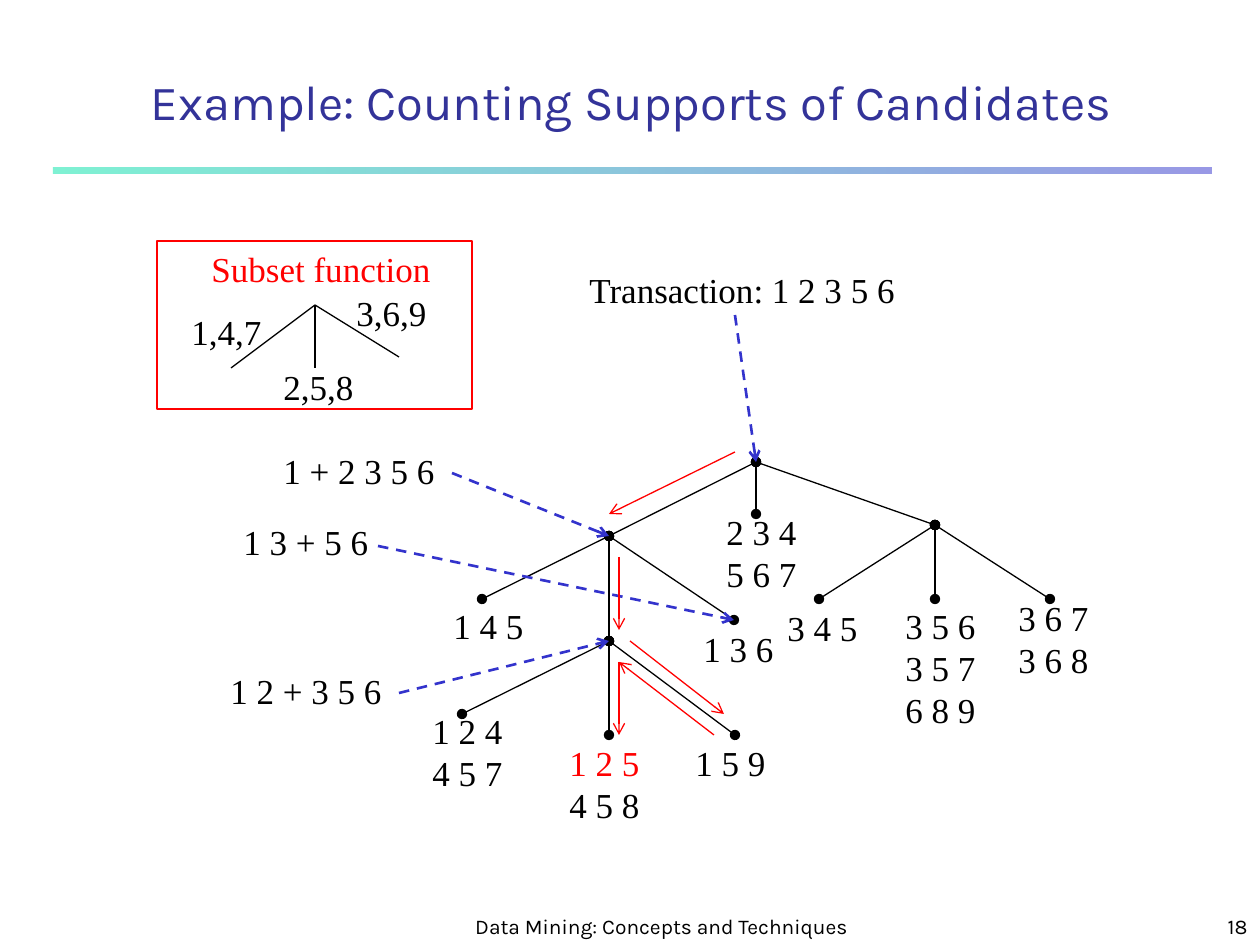
from lxml.etree import SubElement
from pptx import Presentation
from pptx.dml.color import RGBColor
from pptx.enum.dml import MSO_LINE
from pptx.enum.shapes import MSO_CONNECTOR, MSO_SHAPE
from pptx.enum.text import MSO_ANCHOR, MSO_AUTO_SIZE, PP_ALIGN
from pptx.oxml.ns import qn
from pptx.util import Emu, Pt

BLACK = RGBColor(0x00, 0x00, 0x00)
RED = RGBColor(0xFF, 0x00, 0x00)
BLUE = RGBColor(0x33, 0x33, 0xCC)
NAVY = RGBColor(0x33, 0x33, 0x99)
MINT = RGBColor(0x00, 0xE4, 0xA8)
SANS, SERIF = "Karla", "Times New Roman"

# Content: text, left, top, width, height in px
TITLE = ("Example: Counting Supports of Candidates", 94, 53, 1074, 84)
FOOTER = ("Data Mining: Concepts and Techniques", 462, 892, 399, 53)
PAGE = ("18", 998, 892, 262, 53)
LABEL_WIDTH = 97

# Subset function box: branch ends and labels (text, left, top)
SUBSET_BOX = (157, 241, 315, 168)
SUBSET_TOP = (315, 305)
SUBSET_ENDS = [(231, 368), (315, 368), (399, 357)]
SUBSET_LABELS = [
    ("1,4,7", 179, 304),
    ("2,5,8", 271, 359),
    ("3,6,9", 344, 285),
]
SUBSET_HEADING = ("Subset function", 199, 241, 247)

# Hash tree: node positions, children, and leaf labels (lines, left, top)
NODES = {
    "root": (756, 462),
    "left": (609, 536), "234": (756, 514), "right": (935, 525),
    "145": (482, 599), "middle": (609, 641), "136": (734, 620),
    "124": (462, 714), "125": (609, 735), "159": (735, 735),
    "345": (819, 599), "356": (935, 599), "367": (1050, 599),
}
CHILDREN = {
    "root": ["left", "234", "right"],
    "left": ["145", "middle", "136"],
    "middle": ["124", "125", "159"],
    "right": ["345", "356", "367"],
}
LEAVES = [
    (["2 3 4", "5 6 7"], 714, 504),
    (["1 4 5"], 441, 598),
    (["1 3 6"], 691, 621),
    (["1 2 4", "4 5 7"], 420, 703),
    (["1 2 5", "4 5 8"], 557, 735),
    (["1 5 9"], 683, 735),
    (["3 4 5"], 775, 600),
    (["3 5 6", "3 5 7", "6 8 9"], 893, 598),
    (["3 6 7", "3 6 8"], 1006, 590),
]
MATCHED = "1 2 5"

# Transaction splits: text, left, top, width, arrow start, node reached
SPLITS = [
    ("Transaction: 1 2 3 5 6", 577, 262, 334, (735, 315), "root"),
    ("1 + 2 3 5 6", 271, 443, 179, (452, 473), "left"),
    ("1 2 + 3 5 6", 218, 663, 179, (399, 693), "middle"),
    ("1 3 + 5 6", 231, 514, 153, (378, 546), "136"),
]

# Traversal arrows: start, end
WALK = [
    ((735, 452), (609, 514)),
    ((630, 641), (724, 714)),
    ((714, 735), (619, 662)),
    ((619, 557), (619, 630)),
    ((619, 662), (619, 735)),
]

prs = Presentation()
prs.slide_width, prs.slide_height = Emu(9144000), Emu(6858000)
slide = prs.slides.add_slide(prs.slide_layouts[6])
SCALE = 914400 / 126


def px(*values):
    return [Emu(round(v * SCALE)) for v in values]


def add_text(text, x, y, w=LABEL_WIDTH, h=None, size=20, font=SERIF, color=BLACK,
             align=PP_ALIGN.LEFT, anchor=MSO_ANCHOR.TOP, wrap=False):
    """Text is one string or a list of lines; without h the box fits its lines."""
    lines = [text] if isinstance(text, str) else text
    fitted = h is None
    box = slide.shapes.add_textbox(*px(x, y, w, 13 + 42 * len(lines) if fitted else h))
    tf = box.text_frame
    tf.word_wrap, tf.vertical_anchor = wrap, anchor
    tf.auto_size = MSO_AUTO_SIZE.SHAPE_TO_FIT_TEXT if fitted else MSO_AUTO_SIZE.NONE
    for i, line in enumerate(lines):
        p = tf.add_paragraph() if i else tf.paragraphs[0]
        p.alignment = align
        r = p.add_run()
        r.text = line
        r.font.size, r.font.name = Pt(size), font
        r.font.color.rgb = RED if line == MATCHED else color


def add_line(start, end, color=BLACK, width=0.75, dash=None, head=None, tail=None):
    line = slide.shapes.add_connector(MSO_CONNECTOR.STRAIGHT, *px(*start, *end))
    line.line.color.rgb, line.line.width = color, Pt(width)
    if dash:
        line.line.dash_style = dash
    ln = line.line._get_or_add_ln()
    for tag, kind in (("a:headEnd", head), ("a:tailEnd", tail)):
        if kind:
            SubElement(ln, qn(tag), type=kind, w="med", len="med")
    SubElement(line._element.spPr, qn("a:effectLst"))


def add_rect(x, y, w, h):
    sp = slide.shapes.add_shape(MSO_SHAPE.RECTANGLE, *px(x, y, w, h))
    sp.shadow.inherit = False
    return sp


# Half-transparent gradient rule under the title
rule = add_rect(53, 167, 1159, 7)
rule.line.fill.background()
rule.fill.gradient()
rule.fill.gradient_angle = 0
for stop, color, position in zip(rule.fill.gradient_stops, (MINT, BLUE), (0, 1)):
    stop.color.rgb, stop.position = color, position
for clr in rule._element.spPr.iter(qn("a:srgbClr")):
    SubElement(clr, qn("a:alpha"), val="50000")

# Title and footer
add_text(*TITLE, size=28, font=SANS, color=NAVY, align=PP_ALIGN.CENTER,
         anchor=MSO_ANCHOR.BOTTOM, wrap=True)
for item, align in ((FOOTER, PP_ALIGN.CENTER), (PAGE, PP_ALIGN.RIGHT)):
    add_text(*item, size=12, font=SANS, align=align, anchor=MSO_ANCHOR.BOTTOM, wrap=True)

# Subset function
for end in SUBSET_ENDS:
    add_line(SUBSET_TOP, end)
for label in SUBSET_LABELS:
    add_text(*label)
add_text(*SUBSET_HEADING, color=RED)
frame = add_rect(*SUBSET_BOX)
frame.fill.background()
frame.line.color.rgb, frame.line.width = RED, Pt(0.75)

# Hash tree
for parent, children in CHILDREN.items():
    for child in children:
        add_line(NODES[parent], NODES[child], head="oval", tail="oval")
for leaf in LEAVES:
    add_text(*leaf)

# Transaction splits with dashed arrows into the tree
for text, x, y, w, start, node in SPLITS:
    add_text(text, x, y, w)
    add_line(start, NODES[node], color=BLUE, width=1.5, dash=MSO_LINE.DASH, tail="arrow")

# Traversal
for start, end in WALK:
    add_line(start, end, color=RED, tail="arrow")

prs.save("out.pptx")
